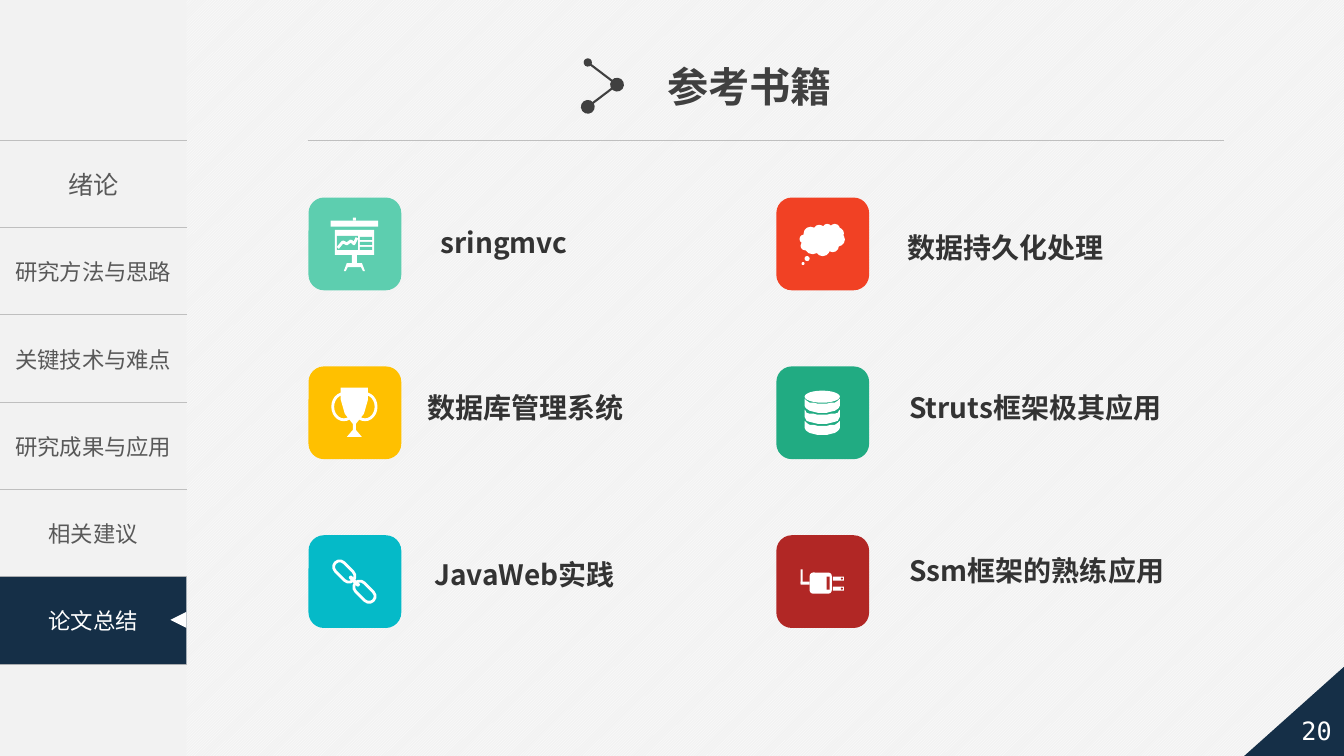
from math import cos, pi, sin

from lxml.etree import SubElement
from pptx import Presentation
from pptx.dml.color import RGBColor
from pptx.enum.dml import MSO_PATTERN
from pptx.enum.shapes import MSO_CONNECTOR, MSO_SHAPE
from pptx.enum.text import MSO_ANCHOR, MSO_AUTO_SIZE, PP_ALIGN
from pptx.oxml.ns import qn
from pptx.util import Inches, Pt

COLORS = {
    "white": "FFFFFF", "paper": "F2F2F2", "rule": "BFBFBF", "menu": "595959",
    "title": "404040", "label": "333333", "navy": "152F47", "mint": "5DCEAF",
    "red": "F14124", "gold": "FFC000", "green": "21AB82", "cyan": "05BAC8", "brick": "B12725",
}
CJK = "Noto Sans CJK SC"
TITLE = "参考书籍"
PAGE_NUMBER = "20"
MENU = ["绪论", "研究方法与思路", "关键技术与难点", "研究成果与应用", "相关建议"]
ACTIVE = "论文总结"

BOOKS = [
    ("sringmvc", "mint", "board", 0, 0, (4.27, 2.25, 1.49)),
    ("数据持久化处理", "red", "cloud", 1, 0, (8.9, 2.3, 2.42)),
    ("数据库管理系统", "gold", "trophy", 0, 1, (4.14, 3.88, 2.17)),
    ("Struts框架极其应用", "green", "database", 1, 1, (8.92, 3.88, 2.72)),
    ("JavaWeb实践", "cyan", "chain", 0, 2, (4.21, 5.54, 2.01)),
    ("Ssm框架的熟练应用", "brick", "plug", 1, 2, (8.92, 5.5, 2.75)),
]

RECT, OVAL, ROUND = MSO_SHAPE.RECTANGLE, MSO_SHAPE.OVAL, MSO_SHAPE.ROUNDED_RECTANGLE
SOLIDS = {
    "board": [(RECT, 44, 20, 3, 3), (RECT, 22, 23, 47, 6), (RECT, 26, 32, 39, 25)],
    "cloud": [(MSO_SHAPE.CLOUD, 23, 26, 45, 32), (OVAL, 28, 58, 5, 5), (OVAL, 25, 64, 3, 3)],
    "database": [(OVAL, 28, 24, 35, 12)],
    "plug": [(RECT, 24, 34, 2, 14), (RECT, 24, 46, 9, 3), (ROUND, 33, 37, 22, 21),
             (RECT, 56, 41, 11, 4), (RECT, 56, 51, 11, 4)],
}
CUTOUTS = {
    "board": [(RECT, 28, 38, 21, 14), *[(RECT, 51, top, 12, 3) for top in (39, 44, 49)]],
    "plug": [(RECT, 50, 41, 3, 13), (OVAL, 64, 42, 2, 2), (OVAL, 64, 52, 2, 2)],
}
RINGS = {
    "trophy": [(OVAL, 24, 27, 22, 26, 0), (OVAL, 45, 27, 22, 26, 0)],
    "chain": [(ROUND, 23, 30, 25, 12, 45), (ROUND, 43, 50, 25, 12, 45), (ROUND, 40, 45, 11, 1, 45)],
}
HALVES = {
    "board": [(48, 57), (48, 65), (53, 65), (56, 73), (54, 73), (52, 69)],
    "trophy": [(59, 21), (59, 33), (55, 47), (47, 57), (47, 63), (53, 70)],
}
TREND = [(29, 50), (34, 44), (38, 46), (42, 43), (45, 46), (48, 40)]
ICON_MIDDLE = 45.5

deck = Presentation()
deck.slide_width, deck.slide_height = Inches(13.33), Inches(7.5)
page = deck.slides.add_slide(deck.slide_layouts[6])
backdrop = page.background.fill
backdrop.patterned()
backdrop.pattern = MSO_PATTERN.LIGHT_UPWARD_DIAGONAL
backdrop.fore_color.rgb = RGBColor.from_string(COLORS["white"])
backdrop.back_color.rgb = RGBColor.from_string(COLORS["paper"])


def paint(shape, color=None, outline=None):
    shape.shadow.inherit = False
    if outline:
        shape.line.width = Pt(2)
        shape.line.color.rgb = RGBColor.from_string(COLORS[outline])
    else:
        shape.line.fill.background()
    if color:
        shape.fill.solid()
        shape.fill.fore_color.rgb = RGBColor.from_string(COLORS[color])
    else:
        shape.fill.background()
    return shape


def preset(kind, left, top, width, height, color=None, outline=None):
    shape = page.shapes.add_shape(kind, *map(Inches, (left, top, width, height)))
    return paint(shape, color, outline)


def outline_shape(points, left, top, closed=True):
    builder = page.shapes.build_freeform(*points[0], scale=Inches(0.01))
    builder.add_line_segments(points[1:], close=closed)
    return builder.convert_to_shape(Inches(left), Inches(top))


def write(frame, text, size, color, font=CJK, bold=False, align=PP_ALIGN.CENTER):
    frame.text = text
    para = frame.paragraphs[0]
    para.alignment = align
    span = para.runs[0]
    span.font.size, span.font.bold, span.font.name = Pt(size), bold, font
    span.font.color.rgb = RGBColor.from_string(COLORS[color])
    SubElement(span.font._element, qn("a:ea")).set("typeface", font)
    return para


def line(start, end, color, width, ends=()):
    rule = page.shapes.add_connector(MSO_CONNECTOR.STRAIGHT, *map(Inches, start + end))
    rule.line.width = Pt(width)
    rule.line.color.rgb = RGBColor.from_string(COLORS[color])
    for tag, size in ends:
        SubElement(rule.line._ln, qn(tag), type="oval", w=size, len=size)
    SubElement(rule._element.spPr, qn("a:effectLst"))


def disk_band(top):
    angles = [step * pi / 12 for step in range(13)]
    lower = [(ICON_MIDDLE + 17.5 * cos(a), top + 7 + 7 * sin(a)) for a in angles]
    upper = [(ICON_MIDDLE + 17.5 * cos(a), top + 5 * sin(a)) for a in reversed(angles)]
    return lower + upper


def draw_icon(name, left, top, tile_color):
    def place(kind, x, y, width, height, color=None, outline=None):
        return preset(kind, left + x / 100, top + y / 100, width / 100, height / 100, color, outline)

    for *ring, angle in RINGS.get(name, []):
        shape = place(*ring, outline="white")
        shape.rotation = angle
        if ring[0] == ROUND:
            shape.adjustments[0] = 0.5
    for solid in SOLIDS.get(name, []):
        place(*solid, color="white")
    for cutout in CUTOUTS.get(name, []):
        place(*cutout, color=tile_color)
    if name in HALVES:
        half = HALVES[name]
        mirrored = [(2 * ICON_MIDDLE - x, y) for x, y in reversed(half)]
        paint(outline_shape(half + mirrored, left, top), "white")
    if name == "board":
        paint(outline_shape(TREND, left, top, False), outline="white")
    if name == "database":
        for level in range(3):
            paint(outline_shape(disk_band(32 + 11 * level), left, top), "white")


SIDE, MENU_TOP, ROW = 1.85, 1.39, 5.2 / 6
preset(RECT, 0, 0, SIDE, 7.5, "paper")
menu = page.shapes.add_table(len(MENU) + 1, 1, 0, Inches(MENU_TOP), Inches(SIDE), Inches(ROW * 6)).table
menu.first_row = menu.horz_banding = False
for index in range(len(MENU) + 1):
    cell = menu.cell(index, 0)
    cell.vertical_anchor = MSO_ANCHOR.MIDDLE
    cell.margin_left = cell.margin_right = Inches(0.05)
    for side in ("a:lnL", "a:lnR", "a:lnT", "a:lnB"):
        border = SubElement(cell._tc.get_or_add_tcPr(), qn(side), w=str(Pt(1)))
        if side in ("a:lnT", "a:lnB"):
            SubElement(SubElement(border, qn("a:solidFill")), qn("a:srgbClr"), val=COLORS["rule"])
        else:
            SubElement(border, qn("a:noFill"))
    cell.fill.background()
    if index < len(MENU):
        write(cell.text_frame, MENU[index], 16 if index else 18, "menu")

line((3.05, MENU_TOP), (12.14, MENU_TOP), "rule", 0.5)
active = preset(RECT, 0, MENU_TOP + 5 * ROW, SIDE, ROW, "navy")
write(active.text_frame, ACTIVE, 16, "white")
preset(MSO_SHAPE.ISOSCELES_TRIANGLE, 1.69, 6.07, 0.16, 0.16, "white").rotation = 270
corner = preset(MSO_SHAPE.RIGHT_TRIANGLE, 12.33, 6.58, 1.04, 0.93, "navy")
number = preset(MSO_SHAPE.PENTAGON, 12.45, 6.97, 1.08, 0.55)
write(number.text_frame, PAGE_NUMBER, 18, "white", "DejaVu Sans Mono")
for shape in (corner, number):
    shape._element.spPr.xfrm.set("flipH", "1")

heading = page.shapes.add_textbox(*map(Inches, (6.52, 0.56, 1.85, 0.59))).text_frame
heading.word_wrap = False
write(heading, TITLE, 29.4, "title", "Arial", True, PP_ALIGN.LEFT)
NODES = [(5.83, 0.62), (6.12, 0.84), (5.83, 1.06)]
for start, end in zip(NODES, NODES[1:]):
    line(start, end, "title", 1.5, (("a:headEnd", "med"), ("a:tailEnd", "lg")))

for text, color, icon, column, row, (left, top, width) in BOOKS:
    tile_left, tile_top = 3.06 + 4.64 * column, 1.96 + 1.675 * row
    preset(ROUND, tile_left, tile_top, 0.92, 0.92, color)
    draw_icon(icon, tile_left, tile_top, color)
    label = page.shapes.add_textbox(*map(Inches, (left, top, width, 0.44))).text_frame
    label.word_wrap = True
    label.auto_size = MSO_AUTO_SIZE.SHAPE_TO_FIT_TEXT
    write(label, text, 20, "label", bold=True, align=PP_ALIGN.LEFT).line_spacing = 0.82

deck.save("out.pptx")
